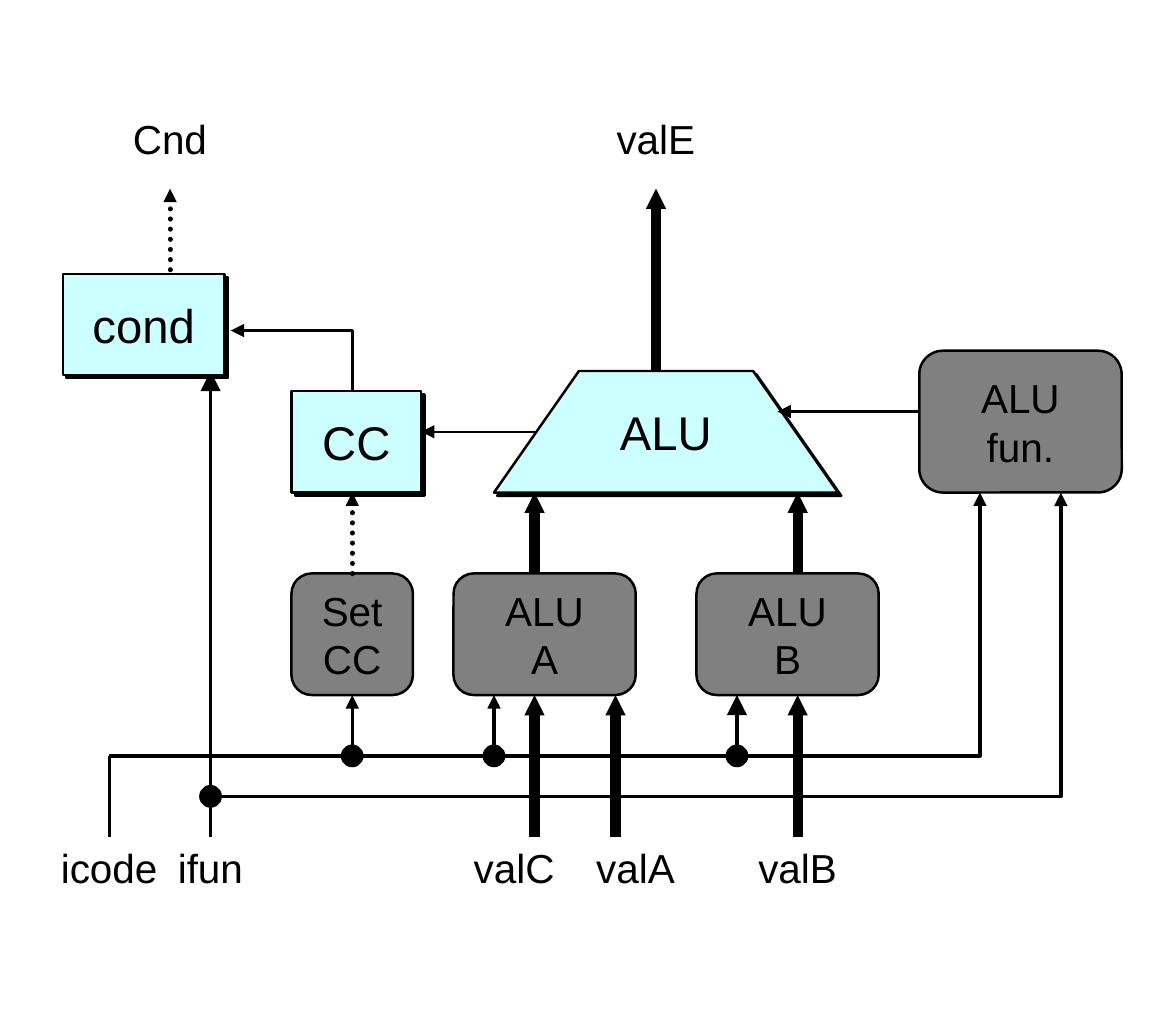
from dataclasses import dataclass

from lxml import etree
from pptx import Presentation
from pptx.dml.color import RGBColor
from pptx.enum.dml import MSO_LINE_DASH_STYLE as Dash
from pptx.enum.shapes import MSO_CONNECTOR_TYPE as Connector, MSO_SHAPE as Preset
from pptx.enum.text import MSO_ANCHOR as Anchor, PP_ALIGN as Align
from pptx.oxml.ns import qn
from pptx.util import Inches, Length, Pt

SLIDE_WIDTH, SLIDE_HEIGHT = 4.84, 4.25
CELL = 1 / 12
LEFT, TOP = 0.2, 0.36
FONT = "Arial"
COLORS = {"ink": "000000", "unit": "CCFFFF", "control": "808080"}
THIN, NORMAL, DOTTED, BUS = 0.75, 1, 1.5, 3

Point = tuple[float, float]


@dataclass(frozen=True)
class Block:
    lines: tuple[str, ...]
    column: float
    row: float
    columns: float
    rows: float


@dataclass(frozen=True)
class Wire:
    points: tuple[Point, ...]
    width: float = NORMAL
    head: str | None = "sm"


LABELS = [
    Block((text,), column, row, 6, 5)
    for text, column, row in [
        ("Cnd", 3, 0), ("valE", 27, 0), ("icode", 0, 36), ("ifun", 5, 36),
        ("valC", 20, 36), ("valA", 26, 36), ("valB", 34, 36),
    ]
]
UNITS = [
    Block(("cond",), 0.7, 9.2, 8, 5),
    Block(("CC",), 12, 15, 6.4, 5),
]
ALU = Block(("ALU",), 22, 14, 17, 6)
ALU_INSET = 4.2
CONTROLS = [
    Block(("Set", "CC"), 12, 24, 6, 6),
    Block(("ALU", "A"), 20, 24, 9, 6),
    Block(("ALU", "B"), 32, 24, 9, 6),
    Block(("ALU", "fun."), 43, 13, 10, 7),
]
WIRES_BEHIND = [
    Wire(((25, 17), (18.4, 17)), THIN),
    Wire(((8, 37), (8, 14)), head="med"),
]
WIRES = [
    Wire(((30, 14), (30, 5)), BUS),
    *(Wire(((column, 24), (column, 20)), BUS) for column in (24, 37)),
    *(Wire(((column, 37), (column, 30)), BUS) for column in (24, 28, 37)),
    Wire(((6, 9), (6, 5)), DOTTED),
    Wire(((15, 24), (15, 20)), DOTTED),
    *(Wire(((column, 33), (column, 30))) for column in (15, 22)),
    Wire(((34, 33), (34, 30)), head="med"),
    Wire(((43, 16), (36, 16)), THIN),
    Wire(((3, 37), (3, 33)), head=None),
    Wire(((3, 33), (46, 33), (46, 20))),
    Wire(((8, 35), (50, 35), (50, 20))),
    Wire(((15, 15), (15, 12), (9, 12))),
]
JUNCTIONS: list[Point] = [(15, 33), (22, 33), (34, 33), (8, 35)]


def x_at(column: float) -> Length:
    return Inches(LEFT + column * CELL)


def y_at(row: float) -> Length:
    return Inches(TOP + row * CELL)


def frame(block: Block) -> tuple[Length, Length, Length, Length]:
    return (x_at(block.column), y_at(block.row),
            Inches(block.columns * CELL), Inches(block.rows * CELL))


def color(name: str) -> RGBColor:
    return RGBColor.from_string(COLORS[name])


def write(shape, lines: tuple[str, ...], size: float) -> None:
    text_frame = shape.text_frame
    text_frame.word_wrap = False
    text_frame.vertical_anchor = Anchor.MIDDLE
    text_frame.margin_left = text_frame.margin_right = 0
    text_frame.margin_top = text_frame.margin_bottom = 0
    for index, line in enumerate(lines):
        paragraph = text_frame.add_paragraph() if index else text_frame.paragraphs[0]
        paragraph.alignment = Align.CENTER
        run = paragraph.add_run()
        run.text = line
        run.font.name = FONT
        run.font.size = Pt(size)
        run.font.color.rgb = color("ink")


def paint(shape, fill: str) -> None:
    shape.shadow.inherit = False
    shape.fill.solid()
    shape.fill.fore_color.rgb = color(fill)
    shape.line.color.rgb = color("ink")
    shape.line.width = Pt(THIN)


def cast_hard_shadow(shape) -> None:
    effects = shape.element.spPr.find(qn("a:effectLst"))
    shadow = etree.SubElement(effects, qn("a:outerShdw"), blurRad="0",
                              dist=str(Pt(1.4)), dir="2700000", algn="tl", rotWithShape="0")
    etree.SubElement(shadow, qn("a:srgbClr"), val=COLORS["ink"])


def outline(shapes, points: tuple[Point, ...], close: bool):
    vertices = [(x_at(column), y_at(row)) for column, row in points]
    builder = shapes.build_freeform(*vertices[0], scale=1.0)
    builder.add_line_segments(vertices[1:], close=close)
    return builder.convert_to_shape()


def draw_wire(shapes, wire: Wire) -> None:
    if len(wire.points) == 2:
        (start_column, start_row), (end_column, end_row) = wire.points
        shape = shapes.add_connector(Connector.STRAIGHT, x_at(start_column), y_at(start_row),
                                     x_at(end_column), y_at(end_row))
        etree.SubElement(shape.element.spPr, qn("a:effectLst"))
    else:
        shape = outline(shapes, wire.points, close=False)
        shape.shadow.inherit = False
        shape.fill.background()
    shape.line.color.rgb = color("ink")
    shape.line.width = Pt(wire.width)
    line = shape.line.fill and shape.element.spPr.find(qn("a:ln"))
    if wire.width == DOTTED:
        shape.line.dash_style = Dash.ROUND_DOT
        line.set("cap", "rnd")
    if wire.head:
        etree.SubElement(line, qn("a:tailEnd"), type="triangle", w=wire.head, len=wire.head)


def draw_block(shapes, block: Block, preset: Preset, fill: str, size: float):
    shape = shapes.add_shape(preset, *frame(block))
    paint(shape, fill)
    write(shape, block.lines, size)
    return shape


def draw_alu(shapes) -> None:
    right, bottom = ALU.column + ALU.columns, ALU.row + ALU.rows
    trapezoid = outline(shapes, (
        (ALU.column, bottom), (ALU.column + ALU_INSET, ALU.row),
        (right - ALU_INSET, ALU.row), (right, bottom),
    ), close=True)
    paint(trapezoid, "unit")
    cast_hard_shadow(trapezoid)
    write(trapezoid, ALU.lines, 14)


def main() -> None:
    presentation = Presentation()
    presentation.slide_width = Inches(SLIDE_WIDTH)
    presentation.slide_height = Inches(SLIDE_HEIGHT)
    shapes = presentation.slides.add_slide(presentation.slide_layouts[6]).shapes

    for wire in WIRES_BEHIND:
        draw_wire(shapes, wire)
    for unit in UNITS:
        cast_hard_shadow(draw_block(shapes, unit, Preset.RECTANGLE, "unit", 14))
    draw_alu(shapes)
    for control in CONTROLS:
        draw_block(shapes, control, Preset.ROUNDED_RECTANGLE, "control", 12)
    for wire in WIRES:
        draw_wire(shapes, wire)
    for column, row in JUNCTIONS:
        dot = Block((), column - 0.5, row - 0.5, 1, 1)
        paint(shapes.add_shape(Preset.OVAL, *frame(dot)), "ink")
    for label in LABELS:
        write(shapes.add_textbox(*frame(label)), label.lines, 12)

    presentation.save("out.pptx")


if __name__ == "__main__":
    main()
